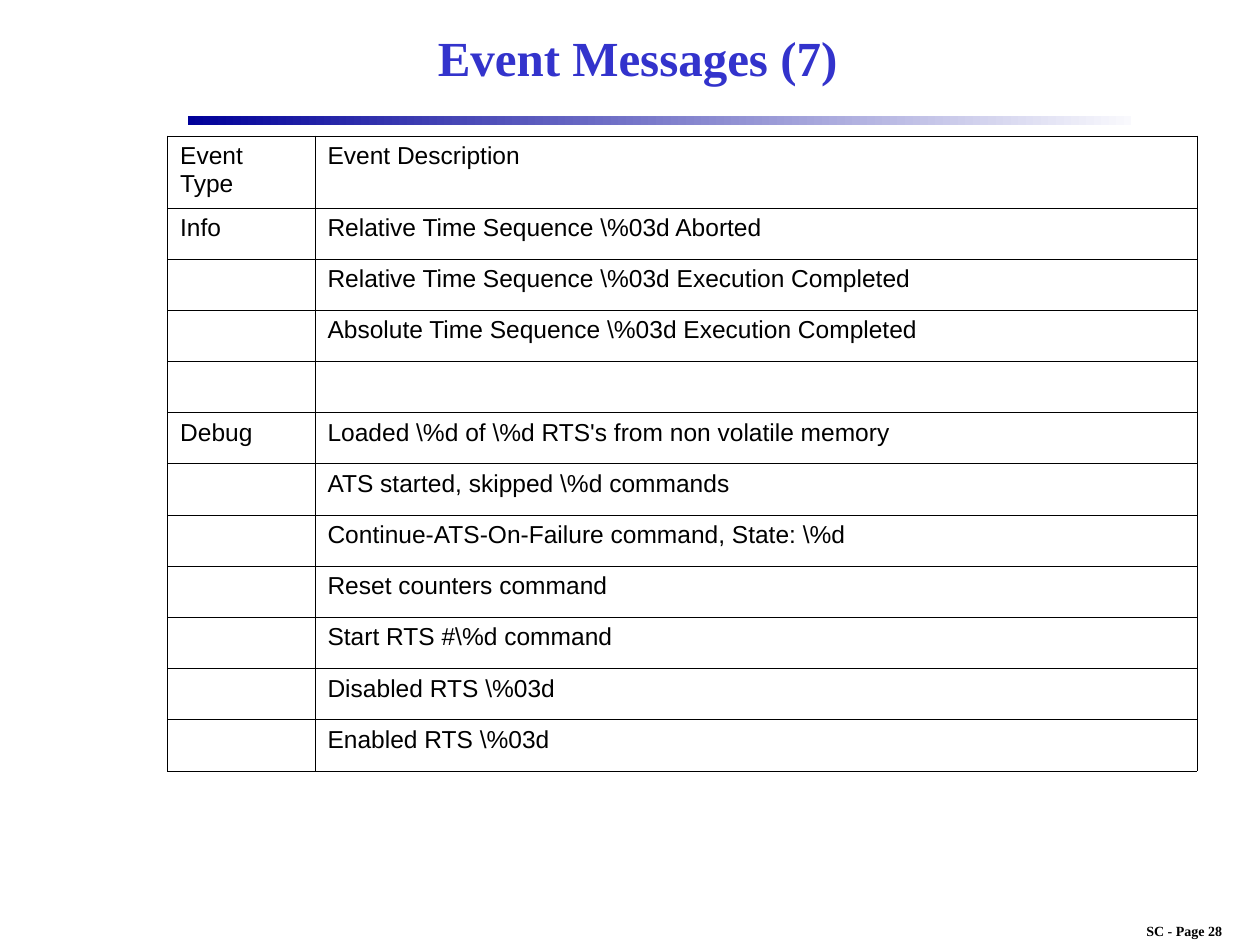
from dataclasses import dataclass

from lxml.etree import SubElement as Sub
from pptx import Presentation
from pptx.dml.color import RGBColor as Rgb
from pptx.enum.shapes import MSO_SHAPE as Shape
from pptx.enum.text import MSO_ANCHOR as Anchor, PP_ALIGN as Align
from pptx.oxml.ns import qn
from pptx.util import Inches, Pt


@dataclass(frozen=True)
class Theme:
    ink: str = "000000"
    title: str = "3333CC"
    dark: str = "000099"
    pale: str = "F9F9FD"
    serif: str = "Times New Roman"
    sans: str = "Arial"
    big: int = 28
    body: int = 14
    small: int = 8
    rule: float = 0.45


THEME = Theme()
ROWS = [
    ("Event Type", "Event Description"),
    ("Info", r"Relative Time Sequence \%03d Aborted"),
    ("", r"Relative Time Sequence \%03d Execution Completed"),
    ("", r"Absolute Time Sequence \%03d Execution Completed"),
    ("", ""),
    ("Debug", r"Loaded \%d of \%d RTS's from non volatile memory"),
    ("", r"ATS started, skipped \%d commands"),
    ("", r"Continue-ATS-On-Failure command, State: \%d"),
    ("", "Reset counters command"),
    ("", r"Start RTS #\%d command"),
    ("", r"Disabled RTS \%03d"),
    ("", r"Enabled RTS \%03d"),
]


def write(frame, text, size=THEME.body, font=THEME.sans, color=THEME.ink,
          bold=False, align=Align.LEFT):
    para = frame.paragraphs[0]
    para.alignment = align
    run = para.add_run()
    run.text = text
    run.font.size = Pt(size)
    run.font.name = font
    run.font.bold = bold
    run.font.color.rgb = Rgb.from_string(color)


def place(item, box):
    item.left, item.top, item.width, item.height = map(Inches, box)


def add_title(slide, box, text):
    title = slide.shapes.title
    place(title, box)
    title.text_frame.vertical_anchor = Anchor.MIDDLE
    write(title.text_frame, text, size=THEME.big, font=THEME.serif,
          color=THEME.title, bold=True, align=Align.CENTER)


def add_bar(slide, box):
    bar = slide.shapes.add_shape(Shape.RECTANGLE, *map(Inches, box))
    bar.shadow.inherit = False
    bar.line.fill.background()
    bar.fill.gradient()
    bar.fill.gradient_angle = 0
    for stop, color in zip(bar.fill.gradient_stops, (THEME.dark, THEME.pale)):
        stop.color.rgb = Rgb.from_string(color)


def set_grid(cell):
    props = cell._tc.get_or_add_tcPr()
    for side in ("a:lnL", "a:lnR", "a:lnT", "a:lnB"):
        line = Sub(props, qn(side), w=str(int(Pt(THEME.rule))))
        fill = Sub(line, qn("a:solidFill"))
        Sub(fill, qn("a:srgbClr"), val=THEME.ink)
    cell.fill.background()


def add_events(slide, box, rows, first=1.17, head=0.57):
    width, height = box[2:]
    table = slide.shapes.add_table(len(rows), 2, *map(Inches, box)).table
    table.first_row = table.horz_banding = False
    for col, size in zip(table.columns, (first, width - first)):
        col.width = Inches(size)
    step = (height - head) / (len(rows) - 1)
    for r, texts in enumerate(rows):
        table.rows[r].height = Inches(step if r else head)
        for c, text in enumerate(texts):
            cell = table.cell(r, c)
            set_grid(cell)
            if text:
                write(cell.text_frame, text)


def add_footer(slide, box, text):
    foot = slide.shapes.add_textbox(*map(Inches, box))
    foot.text_frame.word_wrap = False
    write(foot.text_frame, text, size=THEME.small, font=THEME.serif,
          bold=True, align=Align.CENTER)


def main():
    deck = Presentation()
    deck.slide_width, deck.slide_height = Inches(10), Inches(7.5)
    slide = deck.slides.add_slide(deck.slide_layouts[5])
    # Heading and rule
    add_title(slide, (1.53, 0.08, 7.06, 0.75), "Event Messages (7)")
    add_bar(slide, (1.49, 0.92, 7.49, 0.07))
    # Event table
    add_events(slide, (1.33, 1.08, 8.17, 5.04), ROWS)
    # Page label
    add_footer(slide, (8.8, 7.27, 1.2, 0.23), "SC - Page 28")
    deck.save("out.pptx")


main()
